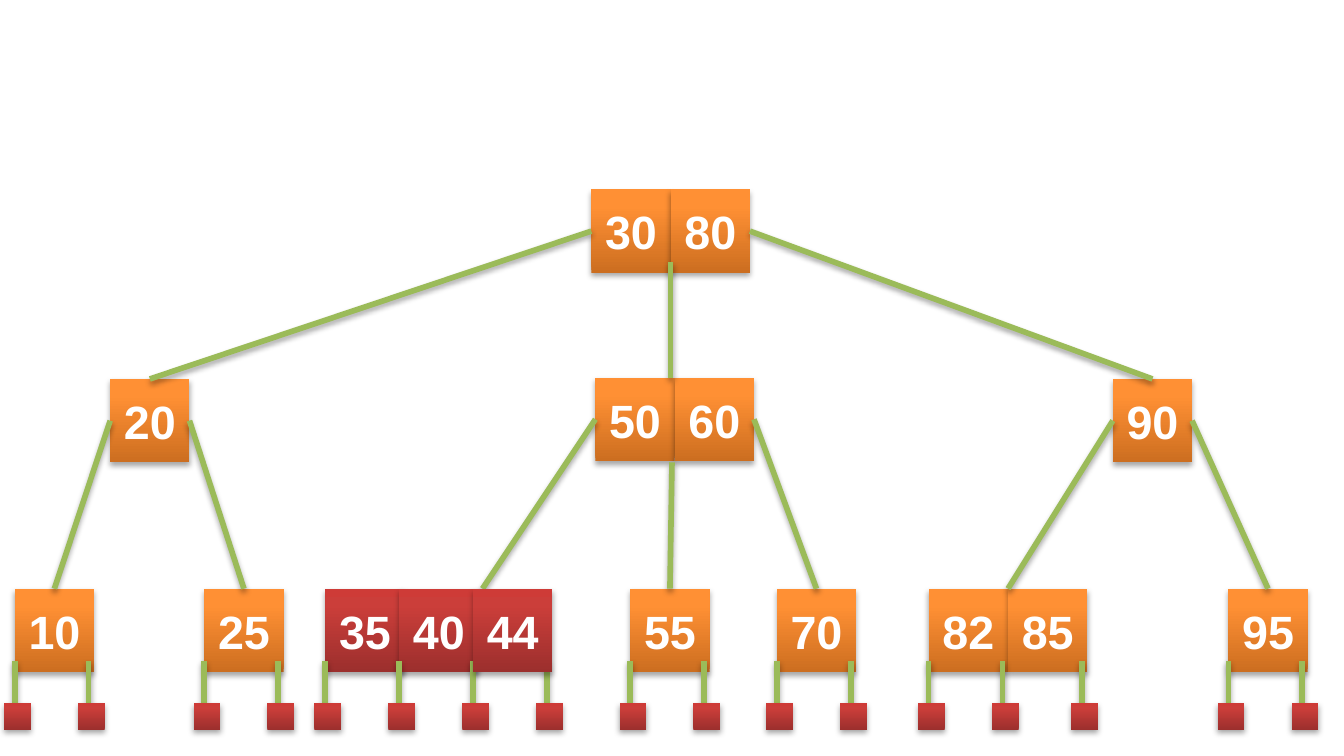
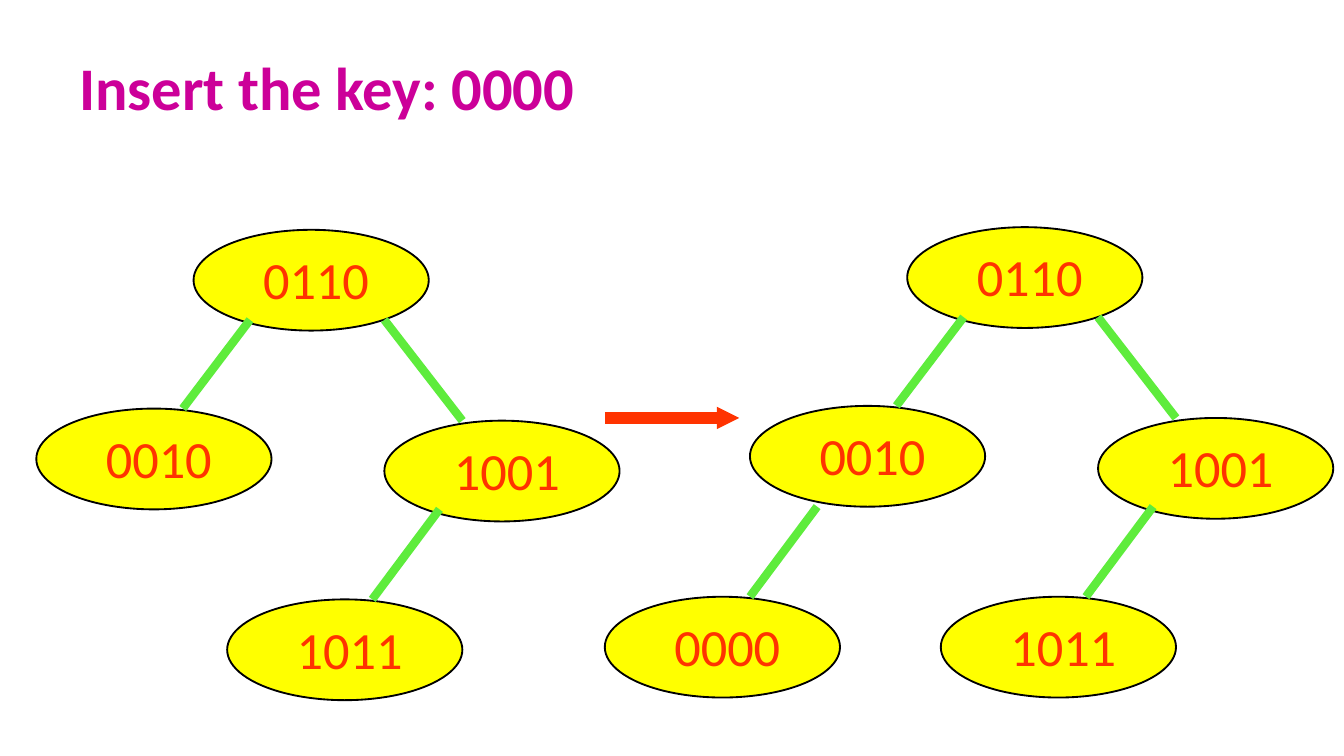
from copy import deepcopy

from lxml.etree import SubElement
from pptx import Presentation
from pptx.dml.color import RGBColor
from pptx.enum.shapes import MSO_CONNECTOR as Connector, MSO_SHAPE as Shape
from pptx.enum.text import MSO_ANCHOR as Anchor, PP_ALIGN as Align
from pptx.oxml.ns import qn
from pptx.util import Inches, Pt

WHITE = RGBColor(0xFF, 0xFF, 0xFF)
BLACK = RGBColor(0, 0, 0)
BRANCH_GREEN = RGBColor(0x9B, 0xBB, 0x59)
EDGE_GREEN = RGBColor(0x5E, 0xEC, 0x3C)
YELLOW = RGBColor(0xFF, 0xFF, 0)
RED = RGBColor(0xFF, 0x33, 0)
MAGENTA = RGBColor(0xCC, 0, 0x99)
ORANGE_STOPS = (RGBColor(0xCC, 0x6E, 0x20), RGBColor(0xFF, 0x90, 0x34), RGBColor(0xFF, 0x91, 0x36))
CRIMSON_STOPS = (RGBColor(0x9C, 0x2F, 0x2D), RGBColor(0xCB, 0x3E, 0x3A), RGBColor(0xCE, 0x3B, 0x37))
STOP_POSITIONS = (0, 0.8, 1)

KEY_WIDTH, KEY_HEIGHT = 0.59, 0.62
LEAF_STEP, LEAF_SIZE = 0.55, 0.2
BOTTOM_ROW = 4.38
OVAL_WIDTH, OVAL_HEIGHT = 1.75, 0.75

UPPER_NODES = [
    (("30", "80"), 4.4, 1.41),
    (("20",), 0.82, 2.82),
    (("90",), 8.28, 2.82),
    (("50", "60"), 4.43, 2.81),
]
BOTTOM_NODES = [
    (("82", "85"), 6.91, (0, LEAF_STEP, KEY_WIDTH + LEAF_STEP)),
    (("10",), 0.11, (0, LEAF_STEP)),
    (("25",), 1.52, (0, LEAF_STEP)),
    (("55",), 4.69, (0, LEAF_STEP)),
    (("70",), 5.78, (0, LEAF_STEP)),
    (("95",), 9.14, (0, LEAF_STEP)),
]
JOINED_BRANCHES = [
    ("30", 1, "20"), ("80", 3, "90"), ("20", 1, "10"), ("20", 3, "25"),
    ("60", 3, "70"), ("90", 3, "95"),
]
BINARY_OVALS = [("1001", 2.59, 1.42), ("0110", 1.17, 0), ("0010", 0, 1.33), ("1011", 1.42, 2.75)]
BINARY_EDGES = [
    ((1.59, 0.67), (1.09, 1.33)),
    ((2.59, 0.67), (3.17, 1.42)),
    ((3, 2.08), (2.5, 2.75)),
]
INSERTED_OVAL = ("0000", -1.08, 2.75)
INSERTED_EDGE = ((0.5, 2.08), (0, 2.75))


def add_soft_shadow(effects):
    shadow = SubElement(effects, qn("a:outerShdw"), blurRad=str(Pt(3.1)), dist=str(Pt(1.8)),
                        dir="5400000", rotWithShape="0")
    colour = SubElement(shadow, qn("a:srgbClr"), val=str(BLACK))
    SubElement(colour, qn("a:alpha"), val="35000")


def add_line(shapes, start, end, colour, width, shadowed=False):
    line = shapes.add_connector(Connector.STRAIGHT, *(Inches(value) for value in (*start, *end)))
    line.line.color.rgb = colour
    line.line.width = Pt(width)
    effects = SubElement(line._element.spPr, qn("a:effectLst"))
    if shadowed:
        add_soft_shadow(effects)
    return line


def add_branch(shapes, start, end):
    return add_line(shapes, start, end, BRANCH_GREEN, 3, shadowed=True)


def add_block(shapes, left, top, width, height, stops):
    block = shapes.add_shape(Shape.RECTANGLE, Inches(left), Inches(top), Inches(width), Inches(height))
    block.line.fill.background()
    block.fill.gradient()
    block.fill.gradient_angle = 90
    properties = block._element.spPr
    stop_list = properties.find(qn("a:gradFill")).find(qn("a:gsLst"))
    stop_list.append(deepcopy(stop_list[0]))
    for stop, position, colour in zip(block.fill.gradient_stops, STOP_POSITIONS, stops):
        stop.position = position
        stop.color.rgb = colour
    block.shadow.inherit = False
    add_soft_shadow(properties.find(qn("a:effectLst")))
    return block


def format_text(frame, text, font_name, size, colour, bold=False):
    frame.text = text
    font = frame.paragraphs[0].runs[0].font
    font.name, font.size, font.bold = font_name, Pt(size), bold
    font.color.rgb = colour


def add_key(shapes, text, left, top, stops):
    key = add_block(shapes, left, top, KEY_WIDTH, KEY_HEIGHT, stops)
    frame = key.text_frame
    frame.word_wrap = False
    frame.vertical_anchor = Anchor.MIDDLE
    frame.margin_left = frame.margin_right = frame.margin_top = frame.margin_bottom = Inches(0.1)
    format_text(frame, text, "Arial", 25, WHITE, bold=True)
    frame.paragraphs[0].alignment = Align.CENTER
    return key


def add_node(shapes, texts, left, top):
    return {text: add_key(shapes, text, left + index * KEY_WIDTH, top, ORANGE_STOPS)
            for index, text in enumerate(texts)}


def add_leaf(shapes, left):
    leaf = shapes.add_group_shape().shapes
    add_branch(leaf, (left, BOTTOM_ROW + 0.54), (left, BOTTOM_ROW + 0.85))
    add_block(leaf, left - 0.08, BOTTOM_ROW + 0.85, LEAF_SIZE, LEAF_SIZE, CRIMSON_STOPS)


def join(shapes, parent, side, child):
    branch = add_branch(shapes, (0, 0), (0, 0))
    branch.begin_connect(parent, side)
    branch.end_connect(child, 0)


def build_search_tree(slide):
    shapes = slide.shapes
    keys = {}
    for texts, left, top in UPPER_NODES:
        keys.update(add_node(shapes, texts, left, top))
    for texts, left, _ in BOTTOM_NODES:
        keys.update(add_node(shapes, texts, left, BOTTOM_ROW))

    split_left = 2.42
    split_lefts = [split_left + index * LEAF_STEP for index in range(4)]
    for text, left in zip(("35", "40"), split_lefts):
        add_key(shapes, text, left, BOTTOM_ROW, CRIMSON_STOPS)
    for _, left, offsets in BOTTOM_NODES:
        for offset in offsets:
            add_leaf(shapes, left + offset)
    for left in split_lefts[1:]:
        add_leaf(shapes, left)

    for parent, side, child in JOINED_BRANCHES:
        join(shapes, keys[parent], side, keys[child])
    add_branch(shapes, (4.99, 1.95), (4.99, 2.81))
    to_split = add_branch(shapes, (4.43, 3.12), (3.59, BOTTOM_ROW))
    to_split.begin_connect(keys["50"], 1)
    to_middle = add_branch(shapes, (5, 3.44), (4.98, BOTTOM_ROW))
    to_middle.end_connect(keys["55"], 0)
    to_pair = add_branch(shapes, (8.28, 3.13), (7.5, BOTTOM_ROW))
    to_pair.begin_connect(keys["90"], 1)

    add_key(shapes, "44", split_lefts[2], BOTTOM_ROW, CRIMSON_STOPS)
    add_leaf(shapes, split_left)


def add_title(slide, text):
    title = slide.shapes.add_textbox(Inches(0.49), Inches(0.31), Inches(9.02), Inches(0.67))
    title.text_frame.word_wrap = True
    title.text_frame.vertical_anchor = Anchor.MIDDLE
    format_text(title.text_frame, text, "Calibri", 32.4, MAGENTA, bold=True)


def add_oval(shapes, text, left, top):
    oval = shapes.add_shape(Shape.OVAL, Inches(left), Inches(top), Inches(OVAL_WIDTH), Inches(OVAL_HEIGHT))
    oval.shadow.inherit = False
    oval.fill.solid()
    oval.fill.fore_color.rgb = YELLOW
    oval.line.color.rgb = BLACK
    oval.line.width = Pt(1)
    label = shapes.add_textbox(Inches(left + 0.42), Inches(top + 0.08), Inches(1.17), Inches(0.57))
    label.text_frame.word_wrap = True
    format_text(label.text_frame, text, "Calibri", 28, RED)


def add_binary_tree(slide, left, top, ovals, edges):
    shapes = slide.shapes.add_group_shape().shapes
    for text, x, y in ovals:
        add_oval(shapes, text, left + x, top + y)
    for start, end in edges:
        points = [(left + x, top + y) for x, y in (start, end)]
        add_line(shapes, *points, EDGE_GREEN, 4.5)


def build_insertion(slide):
    add_title(slide, "Insert the key: 0000")
    add_binary_tree(slide, 0.27, 1.71, BINARY_OVALS, BINARY_EDGES)
    arrow = add_line(slide.shapes, (4.5, 3.11), (5.5, 3.11), RED, 6)
    SubElement(arrow.line._get_or_add_ln(), qn("a:tailEnd"), type="triangle", w="sm", len="sm")
    add_binary_tree(slide, 5.58, 1.69, BINARY_OVALS + [INSERTED_OVAL], BINARY_EDGES + [INSERTED_EDGE])


def main():
    presentation = Presentation()
    presentation.slide_width = Inches(10)
    presentation.slide_height = presentation.slide_width * 9 // 16
    blank = presentation.slide_layouts[6]
    for build in (build_search_tree, build_insertion):
        build(presentation.slides.add_slide(blank))
    presentation.save("out.pptx")


if __name__ == "__main__":
    main()
